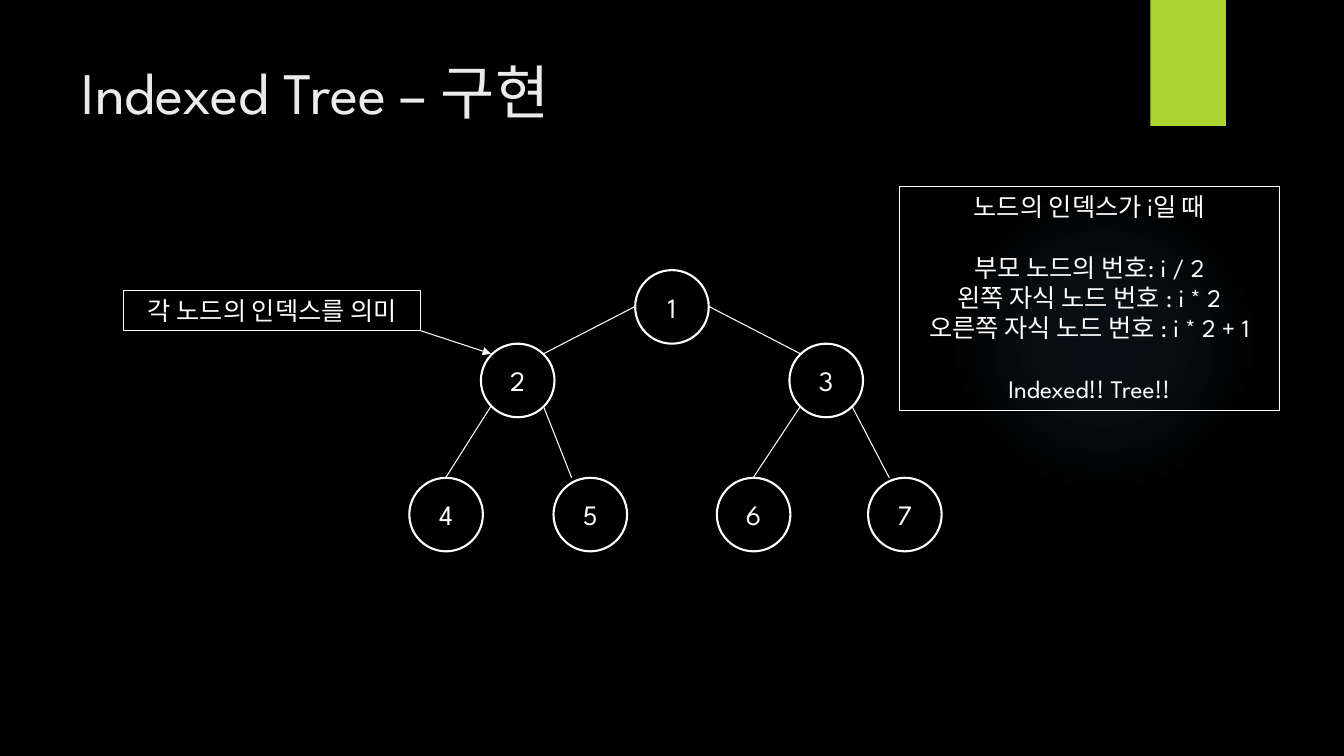
import dataclasses
import typing

import lxml.etree
import pptx
import pptx.dml.color
import pptx.enum.shapes
import pptx.enum.text
import pptx.oxml
import pptx.oxml.ns
import pptx.util

PX = 9144
FONT = "League Spartan"
BLACK = pptx.dml.color.RGBColor(0x00, 0x00, 0x00)
WHITE = pptx.dml.color.RGBColor(0xFF, 0xFF, 0xFF)
TITLE_GREY = pptx.dml.color.RGBColor(0xEB, 0xEB, 0xEB)
GREEN = pptx.dml.color.RGBColor(0xAC, 0xD4, 0x33)
GLOW_BLUE = pptx.dml.color.RGBColor(0x7A, 0xC4, 0xF0)
GLOW_STOPS = ((0, 7), (36, 6), (69, 0))
NODE_SIZE = 73
SHAPES = pptx.enum.shapes.MSO_SHAPE
CENTER = pptx.enum.text.PP_ALIGN.CENTER


@dataclasses.dataclass(frozen=True)
class Node:
    number: int
    left: int
    top: int


@dataclasses.dataclass(frozen=True)
class Edge:
    x1: int
    y1: int
    x2: int
    y2: int
    arrow: bool = False


@dataclasses.dataclass(frozen=True)
class Label:
    left: int
    top: int
    width: int
    height: int
    lines: tuple[str, ...]
    spaced: tuple[int, ...] = ()


NODES = (
    Node(1, 630, 268),
    Node(2, 477, 341),
    Node(3, 783, 341),
    Node(4, 406, 474),
    Node(5, 549, 474),
    Node(6, 711, 474),
    Node(7, 861, 474),
)
EDGES = (
    Edge(539, 351, 630, 304),
    Edge(794, 351, 703, 304),
    Edge(442, 474, 487, 403),
    Edge(567, 474, 539, 403),
    Edge(794, 403, 747, 474),
    Edge(845, 403, 882, 474),
    Edge(417, 328, 487, 351, arrow=True),
)
LABELS = (
    Label(123, 288, 294, 40, ("각 노드의 인덱스를 의미",)),
    Label(892, 185, 377, 222, (
        "노드의 인덱스가 i일 때",
        "부모 노드의 번호: i / 2",
        "왼쪽 자식 노드 번호 : i * 2",
        "오른쪽 자식 노드 번호 : i * 2 + 1",
        "Indexed!! Tree!!",
    ), spaced=(1, 4)),
)


def px(*values: int) -> list[int]:
    return [v * PX for v in values]


def apply_format(target: typing.Any, values: dict[str, typing.Any]) -> None:
    for name, value in values.items():
        setattr(target, name, value)


def write(p: typing.Any, text: str, size: int, color: pptx.dml.color.RGBColor) -> None:
    r = p.add_run()
    r.text = text
    apply_format(r.font, {"name": FONT, "size": pptx.util.Pt(size), "bold": False})
    r.font.color.rgb = color


def outline(sp: typing.Any, width: float) -> None:
    sp.line.color.rgb = WHITE
    sp.line.width = pptx.util.Pt(width)


def add_glow(s: typing.Any) -> None:
    sp = s.shapes.add_shape(SHAPES.OVAL, *px(941, 183, 308, 308))
    sp.shadow.inherit = False
    sp.line.fill.background()
    stops = "".join(
        f'<a:gs pos="{pos * 1000}"><a:srgbClr val="{GLOW_BLUE}">'
        f'<a:alpha val="{alpha * 1000}"/></a:srgbClr></a:gs>'
        for pos, alpha in GLOW_STOPS
    )
    grad = pptx.oxml.parse_xml(
        f'<a:gradFill {pptx.oxml.ns.nsdecls("a")}><a:gsLst>{stops}</a:gsLst>'
        '<a:path path="circle"><a:fillToRect l="50000" t="50000" r="50000" b="50000"/>'
        "</a:path></a:gradFill>"
    )
    sp._element.spPr.find(pptx.oxml.ns.qn("a:prstGeom")).addnext(grad)


def add_ribbon(s: typing.Any) -> None:
    sp = s.shapes.add_shape(SHAPES.RECTANGLE, *px(1141, 0, 75, 125))
    sp.shadow.inherit = False
    sp.fill.solid()
    sp.fill.fore_color.rgb = GREEN
    sp.line.fill.background()


def add_title(s: typing.Any) -> None:
    sp = s.shapes.title
    sp.left, sp.top, sp.width, sp.height = px(71, 50, 1029, 153)
    tf = sp.text_frame
    apply_format(tf, {"word_wrap": True,
                      "vertical_anchor": pptx.enum.text.MSO_ANCHOR.TOP,
                      "auto_size": pptx.enum.text.MSO_AUTO_SIZE.NONE})
    p = tf.paragraphs[0]
    p.alignment = pptx.enum.text.PP_ALIGN.LEFT
    write(p, "Indexed Tree – 구현", 42, TITLE_GREY)


def add_node(s: typing.Any, node: Node) -> None:
    sp = s.shapes.add_shape(SHAPES.OVAL, *px(node.left, node.top, NODE_SIZE, NODE_SIZE))
    sp.shadow.inherit = False
    sp.fill.background()
    outline(sp, 1.5)
    tf = sp.text_frame
    tf.vertical_anchor = pptx.enum.text.MSO_ANCHOR.MIDDLE
    p = tf.paragraphs[0]
    p.alignment = CENTER
    write(p, str(node.number), 20, WHITE)


def add_edge(s: typing.Any, edge: Edge) -> None:
    sp = s.shapes.add_connector(pptx.enum.shapes.MSO_CONNECTOR.STRAIGHT,
                                *px(edge.x1, edge.y1, edge.x2, edge.y2))
    outline(sp, 0.75)
    qn = pptx.oxml.ns.qn
    if edge.arrow:
        lxml.etree.SubElement(sp.line._get_or_add_ln(), qn("a:tailEnd"), type="triangle")
    lxml.etree.SubElement(sp._element.spPr, qn("a:effectLst"))


def add_label(s: typing.Any, label: Label) -> None:
    sp = s.shapes.add_textbox(*px(label.left, label.top, label.width, label.height))
    outline(sp, 0.75)
    tf = sp.text_frame
    apply_format(tf, {"word_wrap": False,
                      "auto_size": pptx.enum.text.MSO_AUTO_SIZE.SHAPE_TO_FIT_TEXT})
    for i, line in enumerate(label.lines):
        p = tf.add_paragraph() if i else tf.paragraphs[0]
        p.alignment = CENTER
        if i in label.spaced:
            p.space_before = pptx.util.Pt(21.6)
        write(p, line, 18, WHITE)


def main() -> None:
    prs = pptx.Presentation()
    prs.slide_width, prs.slide_height = px(1333, 750)
    s = prs.slides.add_slide(prs.slide_layouts[5])
    s.background.fill.solid()
    s.background.fill.fore_color.rgb = BLACK
    add_glow(s)
    add_ribbon(s)
    add_title(s)
    for node in NODES:
        add_node(s, node)
    for edge in EDGES:
        add_edge(s, edge)
    for label in LABELS:
        add_label(s, label)
    prs.save("out.pptx")


if __name__ == "__main__":
    main()
